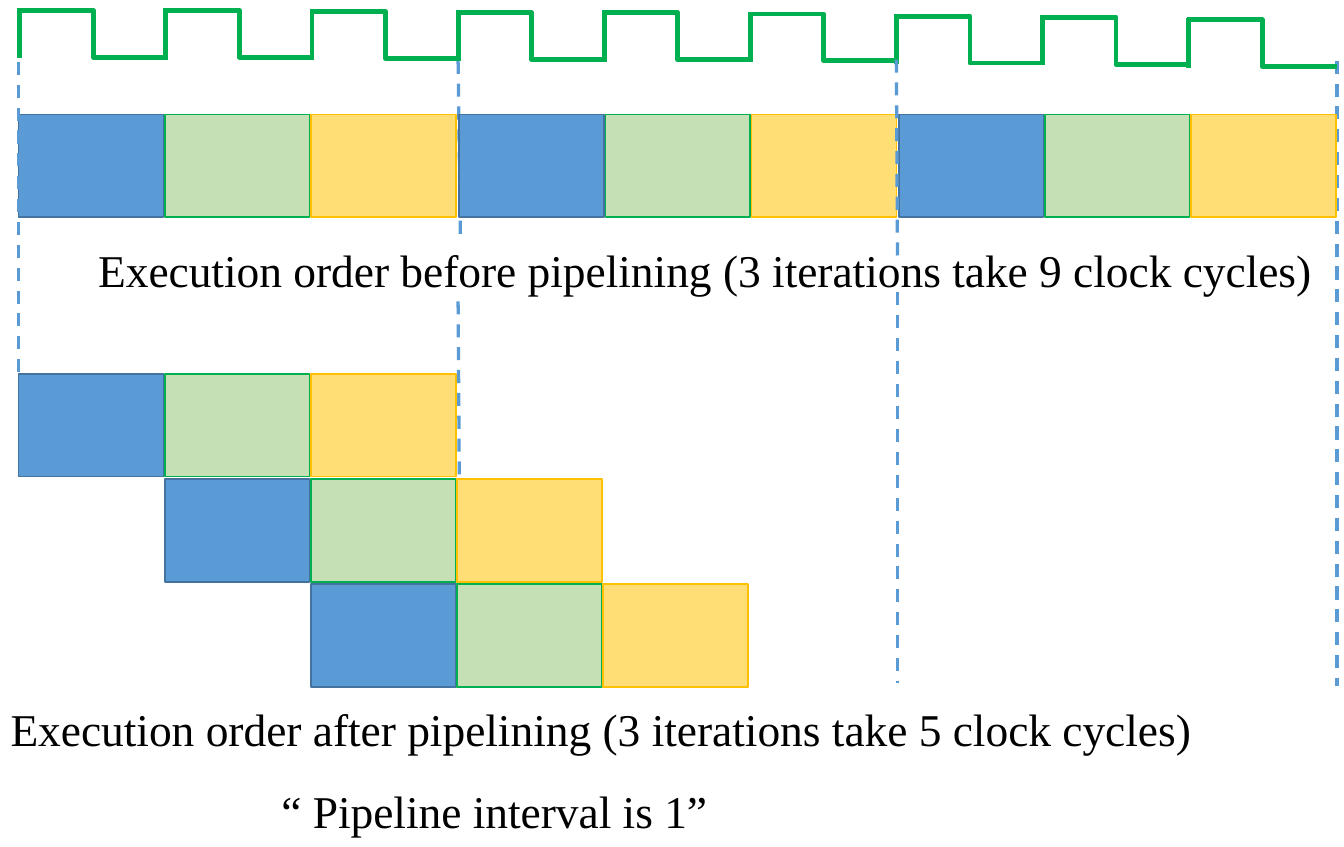
from dataclasses import dataclass

from lxml.etree import SubElement
from pptx import Presentation
from pptx.dml.color import RGBColor
from pptx.enum.dml import MSO_LINE
from pptx.enum.shapes import MSO_CONNECTOR, MSO_SHAPE
from pptx.enum.text import MSO_AUTO_SIZE, PP_ALIGN
from pptx.oxml.ns import qn
from pptx.shapes.connector import Connector
from pptx.util import Inches, Pt

BLACK = RGBColor(0x00, 0x00, 0x00)
BLUE = RGBColor(0x5B, 0x9B, 0xD5)
DARK_BLUE = RGBColor(0x43, 0x73, 0x9E)
LIGHT_GREEN = RGBColor(0xC5, 0xE0, 0xB4)
GREEN = RGBColor(0x00, 0xB0, 0x50)
LIGHT_YELLOW = RGBColor(0xFF, 0xDE, 0x75)
YELLOW = RGBColor(0xFF, 0xC0, 0x00)

FONT = "Times New Roman"
LEFT = 0.16
CYCLE = 1.25
STAGE_W, STAGE_H = 1.24, 0.88
BEFORE_TOP = 0.98
AFTER_TOP, AFTER_STEP = 3.2, 0.9
PULSE_W, PULSE_H = 1.28, 0.4


@dataclass(frozen=True)
class Stage:
    fill: RGBColor
    line: RGBColor


@dataclass(frozen=True)
class Caption:
    text: str
    left: float
    top: float
    width: float
    height: float
    margin_x: float = 0.05
    margin_y: float = 0.03
    align: PP_ALIGN = PP_ALIGN.LEFT


@dataclass(frozen=True)
class Guide:
    x1: float
    y1: float
    x2: float
    y2: float


STAGES = (
    Stage(BLUE, DARK_BLUE),
    Stage(LIGHT_GREEN, GREEN),
    Stage(LIGHT_YELLOW, YELLOW),
)
CAPTIONS = (
    Caption("Execution order before pipelining (3 iterations take 9 clock cycles)",
            0.79, 2.04, 10.5, 0.52),
    Caption("Execution order after pipelining (3 iterations take 5 clock cycles)",
            0.04, 5.97, 10.89, 0.52),
    Caption("“ Pipeline interval is 1”", 0.57, 6.65, 7.32, 0.57,
            0.1, 0.05, PP_ALIGN.CENTER),
)
BACK_GUIDES = (
    Guide(0.16, 0.53, 0.16, 3.22),
    Guide(7.68, 2.5, 7.68, 5.85),
    Guide(3.92, 0.52, 3.94, 2.04),
    Guide(11.44, 0.52, 11.44, 5.87),
)
FRONT_GUIDES = (
    Guide(7.67, 0.51, 7.68, 2.26),
    Guide(3.92, 2.58, 3.93, 4.09),
)
PULSE_TOPS = (0.09, 0.09, 0.1, 0.11, 0.11, 0.12, 0.14, 0.15, 0.17)
BEFORE_LEFTS = (LEFT, 3.93, 7.69)


def add_line(shapes, kind: MSO_CONNECTOR, x1: float, y1: float, x2: float,
             y2: float, color: RGBColor, width: float) -> Connector:
    line = shapes.add_connector(kind, Inches(x1), Inches(y1), Inches(x2), Inches(y2))
    line.line.color.rgb = color
    line.line.width = Pt(width)
    SubElement(line._element.spPr, qn("a:effectLst"))
    return line


def add_guide(shapes, guide: Guide) -> None:
    line = add_line(shapes, MSO_CONNECTOR.STRAIGHT, guide.x1, guide.y1,
                    guide.x2, guide.y2, BLUE, 2)
    line.line.dash_style = MSO_LINE.DASH


def add_pulse(shapes, left: float, top: float) -> None:
    """Draw one clock cycle: high half, falling edge, low half, and its rising edge."""
    group = shapes.add_group_shape().shapes
    add_line(group, MSO_CONNECTOR.ELBOW, left, top,
             left + PULSE_W, top + PULSE_H, GREEN, 3)
    add_line(group, MSO_CONNECTOR.STRAIGHT, left + 0.01, top - 0.02,
             left + 0.01, top + PULSE_H + 0.01, GREEN, 3)


def add_iteration(shapes, left: float, top: float) -> None:
    """Draw the three stages of one loop iteration side by side."""
    group = shapes.add_group_shape().shapes
    for i, stage in enumerate(STAGES):
        s = group.add_shape(MSO_SHAPE.RECTANGLE, Inches(left + i * CYCLE), Inches(top),
                            Inches(STAGE_W), Inches(STAGE_H))
        s.shadow.inherit = False
        s.fill.solid()
        s.fill.fore_color.rgb = stage.fill
        s.line.color.rgb = stage.line
        s.line.width = Pt(1)


def add_caption(shapes, caption: Caption) -> None:
    box = shapes.add_textbox(Inches(caption.left), Inches(caption.top),
                             Inches(caption.width), Inches(caption.height))
    tf = box.text_frame
    tf.word_wrap = True
    tf.auto_size = MSO_AUTO_SIZE.SHAPE_TO_FIT_TEXT
    tf.margin_left = tf.margin_right = Inches(caption.margin_x)
    tf.margin_top = tf.margin_bottom = Inches(caption.margin_y)
    tf.text = caption.text
    p = tf.paragraphs[0]
    p.alignment = caption.align
    font = p.runs[0].font
    font.name = FONT
    font.size = Pt(28)
    font.color.rgb = BLACK


def main() -> None:
    prs = Presentation()
    prs.slide_width, prs.slide_height = Inches(11.5), Inches(7.25)
    shapes = prs.slides.add_slide(prs.slide_layouts[6]).shapes

    first, *later = BEFORE_LEFTS
    add_iteration(shapes, first, BEFORE_TOP)
    for caption in CAPTIONS:
        add_caption(shapes, caption)
    for guide in BACK_GUIDES:
        add_guide(shapes, guide)
    for i, top in enumerate(PULSE_TOPS):
        add_pulse(shapes, LEFT + i * CYCLE, top)
    for left in later:
        add_iteration(shapes, left, BEFORE_TOP)
    for i in range(3):
        add_iteration(shapes, LEFT + i * CYCLE, AFTER_TOP + i * AFTER_STEP)
    for guide in FRONT_GUIDES:
        add_guide(shapes, guide)

    prs.save("out.pptx")


if __name__ == "__main__":
    main()
